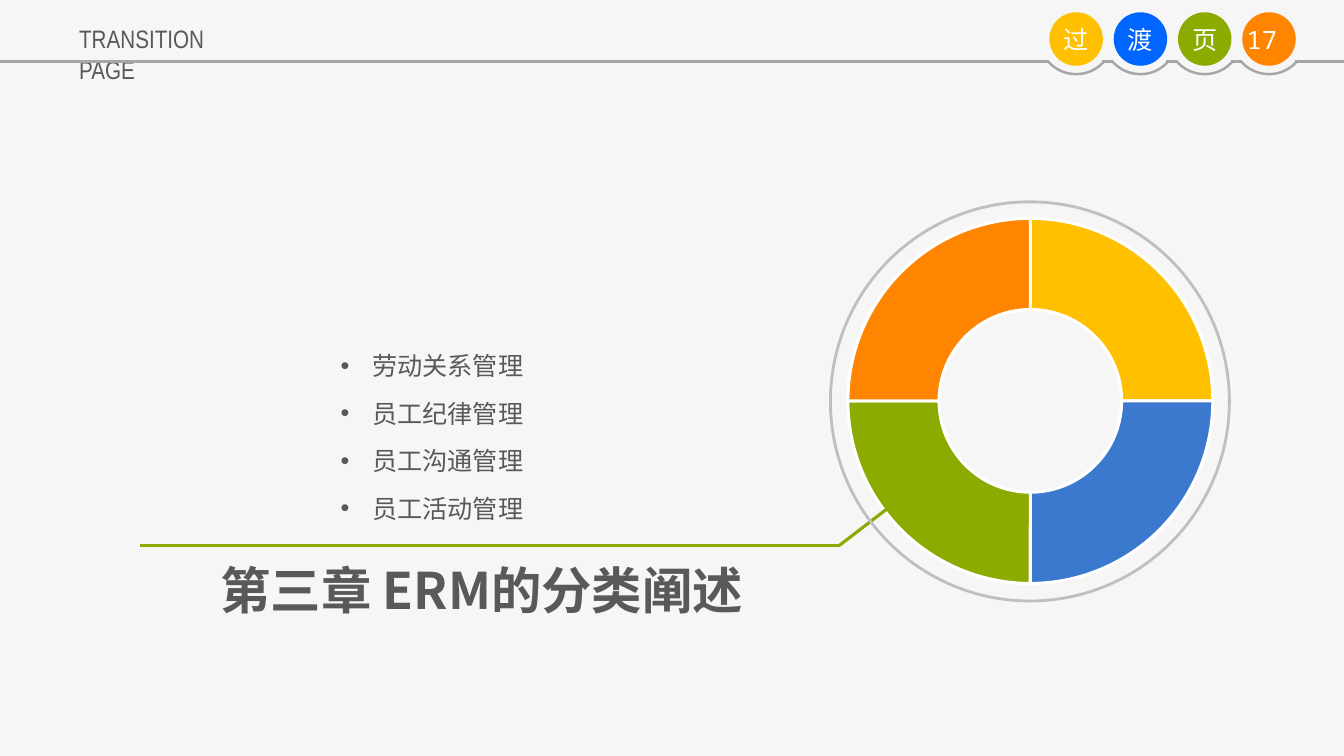
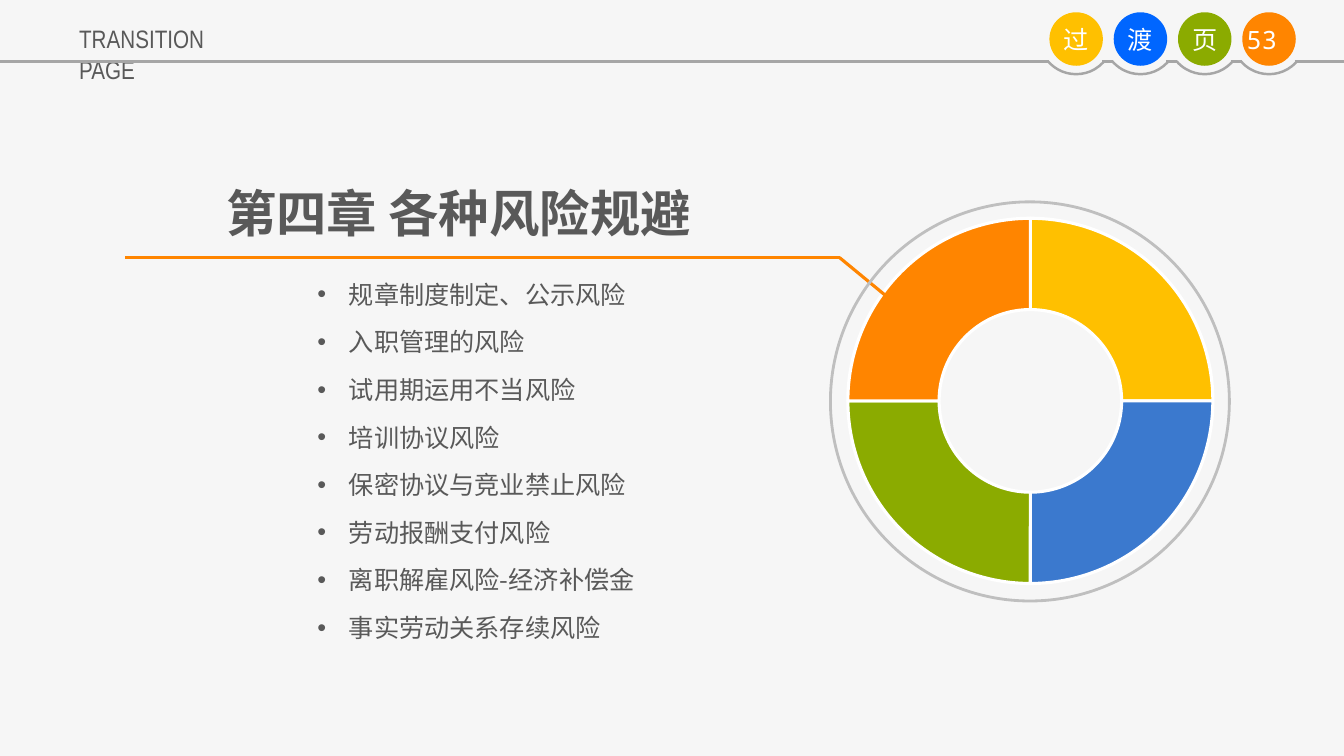
import lxml.etree
import pptx
import pptx.chart.data
import pptx.dml.color
import pptx.enum.chart
import pptx.enum.shapes
import pptx.enum.text
import pptx.oxml
import pptx.oxml.ns
import pptx.util

Pt = pptx.util.Pt
qn = pptx.oxml.ns.qn
SHAPE = pptx.enum.shapes.MSO_SHAPE
ALIGN = pptx.enum.text.PP_ALIGN
ANCHOR = pptx.enum.text.MSO_ANCHOR

COLORS = {
    "page": "F6F6F6", "text": "595959", "rule": "A6A6A6", "ring": "BFBFBF",
    "yellow": "FFC000", "blue": "3B79CE", "bright": "0066FF",
    "green": "8BAB00", "orange": "FF8500", "white": "FFFFFF",
}
CJK = "Noto Sans CJK SC"
TITLE_FONT = {"name": CJK, "size": Pt(36), "bold": True}
LIST_FONT = {"name": CJK, "size": Pt(18), "bold": False}
BADGE_FONT = {"name": CJK, "size": Pt(18)}
NUMBER_FONT = {"name": "Noto Sans Mono", "size": Pt(18)}
LABEL_FONT = {"name": "Arial Narrow", "size": Pt(18)}

PAGE_WIDTH, PAGE_HEIGHT = 960.48, 540
RULE_Y, RULE_WIDTH = 43.9, 1.77
BADGES = [("过", "yellow"), ("渡", "bright"), ("页", "green"), ("", "orange")]
BADGE_LEFT, BADGE_TOP, BADGE_SIZE, BADGE_PITCH = 750, 8.8, 38.2, 45.95
ARC_SIZE = 53
ARC_ANGLES = (25.378, 83.601)
ELBOW_X = 600

CHAPTERS = [
    {
        "number": "17", "title": "第三章 ERM的分类阐述", "title_at": (117.4, 395.6),
        "items": ["劳动关系管理", "员工纪律管理", "员工沟通管理", "员工活动管理"],
        "list_at": (236.2, 246.6), "color": "green",
        "leader_y": 389.5, "leader_left": 100, "leader_tip": (639.4, 359.3),
    },
    {
        "number": "53", "title": "第四章 各种风险规避", "title_at": (100.8, 126.3),
        "items": ["规章制度制定、公示风险", "入职管理的风险", "试用期运用不当风险",
                  "培训协议风险", "保密协议与竞业禁止风险", "劳动报酬支付风险",
                  "离职解雇风险-经济补偿金", "事实劳动关系存续风险"],
        "list_at": (219.6, 195.8), "color": "orange",
        "leader_y": 184, "leader_left": 89.3, "leader_tip": (633.6, 211.7),
    },
]


def rgb(name):
    return pptx.dml.color.RGBColor.from_string(COLORS[name])


def set_values(target, values):
    for name, value in values.items():
        setattr(target, name, value)


def place(shape, left, top, width, height):
    set_values(shape, {"left": Pt(left), "top": Pt(top),
                       "width": Pt(width), "height": Pt(height)})


def write_text(shape, lines, font, color, para_format, inset=None, anchor=ANCHOR.TOP):
    """Fill a shape with paragraphs that share one format."""
    frame = shape.text_frame
    set_values(frame, {"word_wrap": True, "vertical_anchor": anchor,
                       "auto_size": pptx.enum.text.MSO_AUTO_SIZE.NONE})
    if inset is not None:
        set_values(frame, dict.fromkeys(
            ("margin_left", "margin_right", "margin_top", "margin_bottom"), Pt(inset)))
    frame.text = "\n".join(lines)
    for para in frame.paragraphs:
        set_values(para, para_format)
        for span in para.runs:
            set_values(span.font, font)
            span.font.color.rgb = rgb(color)
            east_asian = lxml.etree.Element(qn("a:ea"), typeface=font["name"])
            span._r.get_or_add_rPr().find(qn("a:latin")).addnext(east_asian)


def add_text_box(slide, box, lines, font, color, para_format):
    shape = slide.shapes.add_textbox(*map(Pt, box))
    write_text(shape, lines, font, color, para_format)


def add_line(slide, start, end, color, width):
    line = slide.shapes.add_connector(
        pptx.enum.shapes.MSO_CONNECTOR.STRAIGHT, *map(Pt, (*start, *end)))
    line.line.color.rgb = rgb(color)
    line.line.width = Pt(width)
    lxml.etree.SubElement(line.element.spPr, qn("a:effectLst"))


def add_shape(slide, kind, box, fill=None, outline=None, width=0):
    shape = slide.shapes.add_shape(kind, *map(Pt, box))
    shape.shadow.inherit = False
    if fill:
        shape.fill.solid()
        shape.fill.fore_color.rgb = rgb(fill)
    else:
        shape.fill.background()
    if outline:
        shape.line.color.rgb = rgb(outline)
        shape.line.width = Pt(width)
    else:
        shape.line.fill.background()
    return shape


def add_header(slide):
    """Label, badges with arcs, and the rule that runs between the arcs."""
    add_text_box(slide, (49.5, 13.3, 141.1, 60), ["TRANSITION\vPAGE"], LABEL_FONT, "text",
                 {"alignment": ALIGN.LEFT})
    lefts = [BADGE_LEFT + BADGE_PITCH * index for index in range(len(BADGES))]
    starts = [0] + [left + BADGE_SIZE - 0.6 for left in lefts]
    ends = [left - 0.6 for left in lefts] + [PAGE_WIDTH]
    for start, end in zip(starts, ends):
        add_line(slide, (start, RULE_Y), (end, RULE_Y), "rule", RULE_WIDTH)
    for left, (character, color) in zip(lefts, BADGES):
        arc_left = left + (BADGE_SIZE - ARC_SIZE) / 2
        arc = add_shape(slide, SHAPE.ARC, (arc_left, 0, ARC_SIZE, ARC_SIZE),
                        outline="rule", width=RULE_WIDTH)
        for index, angle in enumerate(ARC_ANGLES):
            arc.adjustments[index] = angle
        badge = add_shape(slide, SHAPE.OVAL, (left, BADGE_TOP, BADGE_SIZE, BADGE_SIZE), color)
        if character:
            write_text(badge, [character], BADGE_FONT, "white",
                       {"alignment": ALIGN.CENTER}, 0, ANCHOR.MIDDLE)


def share_header(slide, layout):
    """Build the header once and keep it on the layout."""
    for placeholder in list(layout.placeholders)[2:]:
        layout.shapes.element.remove(placeholder.element)
    add_header(slide)
    for shape in list(slide.shapes):
        if not shape.is_placeholder:
            layout.shapes.element.append(shape.element)


def add_doughnut(slide):
    data = pptx.chart.data.CategoryChartData()
    data.categories = ["1", "2", "3", "4"]
    data.add_series("Series 1", [25] * 4)
    chart = slide.shapes.add_chart(pptx.enum.chart.XL_CHART_TYPE.DOUGHNUT,
                                   *map(Pt, (525.6, 154.8, 391, 283)), data).chart
    set_values(chart, {"has_legend": False, "has_title": False})
    set_values(chart.font, {"name": "Calibri", "size": Pt(10)})
    plot = chart.plots[0]
    plot.vary_by_categories = False
    for index, color in enumerate(("yellow", "blue", "green", "orange")):
        point = plot.series[0].points[index].format
        point.fill.solid()
        point.fill.fore_color.rgb = rgb(color)
        point.line.color.rgb = rgb("white")
        point.line.width = Pt(2.25)
    # Hole size, plot position and clear background
    root = chart.element
    next(root.iter(qn("c:holeSize"))).set("val", "63")
    area = next(root.iter(qn("c:plotArea")))
    for old_layout in area.findall(qn("c:layout")):
        area.remove(old_layout)
    layout = lxml.etree.Element(qn("c:layout"))
    manual = lxml.etree.SubElement(layout, qn("c:manualLayout"))
    for tag, value in (("layoutTarget", "inner"), ("xMode", "edge"), ("yMode", "edge"),
                       ("x", "0.205"), ("y", "0.004"), ("w", "0.668"), ("h", "0.922")):
        lxml.etree.SubElement(manual, qn("c:" + tag), val=value)
    area.insert(0, layout)
    background = lxml.etree.Element(qn("c:spPr"))
    lxml.etree.SubElement(background, qn("a:noFill"))
    root.find(qn("c:chart")).addnext(background)


def add_leader(slide, chapter):
    elbow = (ELBOW_X, chapter["leader_y"])
    for end in (chapter["leader_tip"], (chapter["leader_left"], chapter["leader_y"])):
        add_line(slide, elbow, end, chapter["color"], 2.25)


def fill_title(slide, chapter):
    title = slide.shapes.title
    place(title, *chapter["title_at"], 453.6, 59.3)
    write_text(title, [chapter["title"]], TITLE_FONT, "text", {"alignment": ALIGN.CENTER})


def fill_list(slide, chapter):
    body = slide.placeholders[1]
    place(body, *chapter["list_at"], 283.7, 34.05 * len(chapter["items"]))
    write_text(body, chapter["items"], LIST_FONT, "text",
               {"alignment": ALIGN.LEFT, "space_before": Pt(0), "space_after": Pt(12.4)})
    for para in body.text_frame.paragraphs:
        properties = para._p.get_or_add_pPr()
        properties.set("marL", str(Pt(22.5)))
        properties.set("indent", str(-Pt(22.5)))
        lxml.etree.SubElement(properties, qn("a:buChar"), char="•")


def fill_chapter(slide, chapter):
    fill_title(slide, chapter)
    fill_list(slide, chapter)
    add_text_box(slide, (870.5, 13.7, 62.6, 28.8), [chapter["number"]], NUMBER_FONT, "white",
                 {"alignment": ALIGN.CENTER})
    add_doughnut(slide)
    add_leader(slide, chapter)
    add_shape(slide, SHAPE.OVAL, (593.5, 144.2, 285.1, 285.1), outline="ring", width=2)


def main():
    deck = pptx.Presentation()
    set_values(deck, {"slide_width": Pt(PAGE_WIDTH), "slide_height": Pt(PAGE_HEIGHT)})
    background = deck.slide_master.background.fill
    background.solid()
    background.fore_color.rgb = rgb("page")
    layout = deck.slide_layouts[1]
    slides = [deck.slides.add_slide(layout) for _ in CHAPTERS]
    share_header(slides[0], layout)
    for slide, chapter in zip(slides, CHAPTERS):
        fill_chapter(slide, chapter)
    deck.save("out.pptx")


if __name__ == "__main__":
    main()
